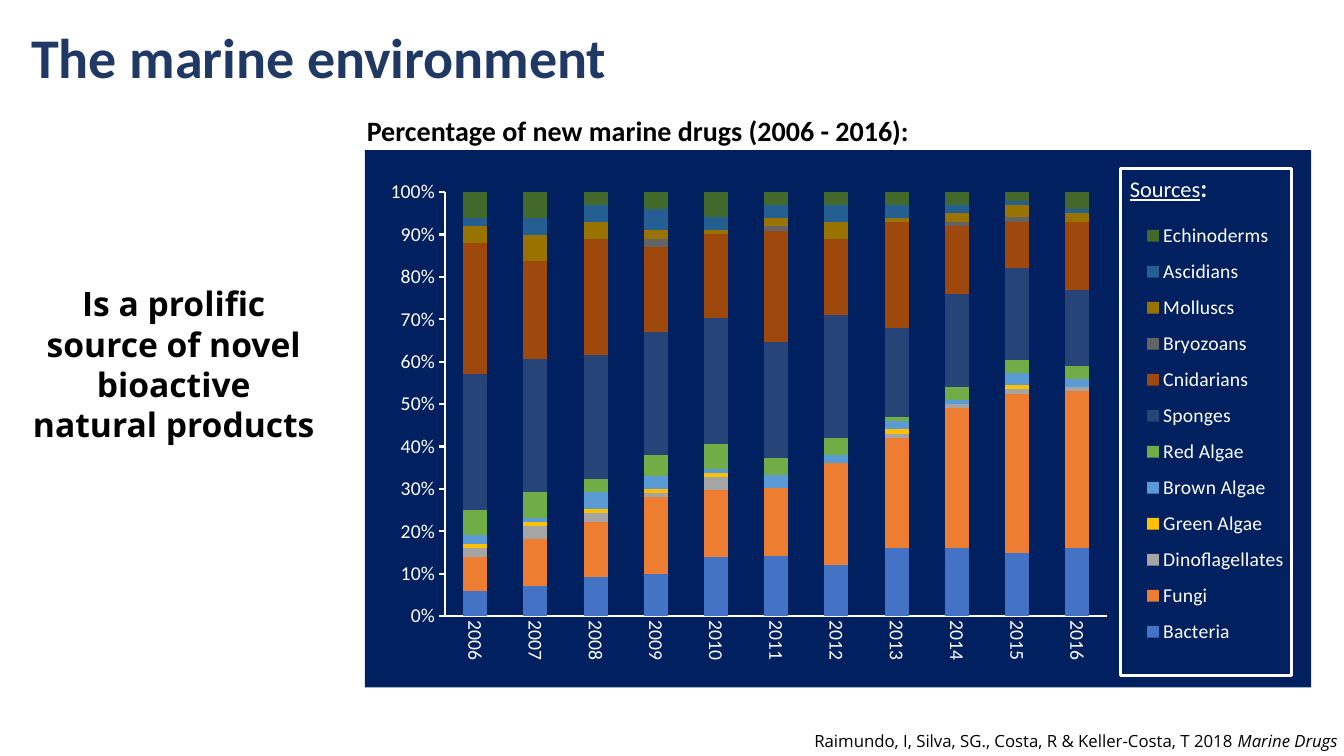
from lxml.etree import SubElement
from pptx import Presentation
from pptx.chart.data import CategoryChartData
from pptx.dml.color import RGBColor
from pptx.enum.chart import XL_CHART_TYPE, XL_LEGEND_POSITION, XL_TICK_MARK
from pptx.enum.shapes import MSO_SHAPE
from pptx.enum.text import MSO_ANCHOR, PP_ALIGN
from pptx.oxml import parse_xml
from pptx.oxml.ns import nsdecls, qn
from pptx.util import Pt

NAVY = RGBColor(0x00, 0x20, 0x60)
TITLE_BLUE = RGBColor(0x20, 0x38, 0x64)
WHITE = RGBColor(0xFF, 0xFF, 0xFF)
BLACK = RGBColor(0x00, 0x00, 0x00)

YEARS = [str(year) for year in range(2006, 2017)]
# Source, colour, yearly percentages
SOURCES = [
    ("Bacteria", RGBColor(0x44, 0x72, 0xC4), (6, 7, 9, 10, 14, 14, 12, 16, 16, 15, 16)),
    ("Fungi", RGBColor(0xED, 0x7D, 0x31), (8, 11, 13, 18, 16, 16, 24, 26, 33, 38, 37)),
    ("Dinoflagellates", RGBColor(0xA5, 0xA5, 0xA5), (2, 3, 2, 1, 3, 0, 0, 1, 1, 1, 1)),
    ("Green Algae", RGBColor(0xFF, 0xC0, 0x00), (1, 1, 1, 1, 1, 0, 0, 1, 0, 1, 0)),
    ("Brown Algae", RGBColor(0x5B, 0x9B, 0xD5), (2, 1, 4, 3, 1, 3, 2, 2, 1, 3, 2)),
    ("Red Algae", RGBColor(0x70, 0xAD, 0x47), (6, 6, 3, 5, 6, 4, 4, 1, 3, 3, 3)),
    ("Sponges", RGBColor(0x26, 0x44, 0x78), (32, 31, 29, 29, 30, 27, 29, 21, 22, 22, 18)),
    ("Cnidarians", RGBColor(0x9E, 0x48, 0x0E), (31, 23, 27, 20, 20, 26, 18, 25, 16, 11, 16)),
    ("Bryozoans", RGBColor(0x63, 0x63, 0x63), (0, 0, 0, 2, 0, 1, 0, 0, 1, 1, 0)),
    ("Molluscs", RGBColor(0x99, 0x73, 0x00), (4, 6, 4, 2, 1, 2, 4, 1, 2, 3, 2)),
    ("Ascidians", RGBColor(0x25, 0x5E, 0x91), (2, 4, 4, 5, 3, 3, 4, 3, 2, 1, 1)),
    ("Echinoderms", RGBColor(0x43, 0x68, 0x2B), (6, 6, 3, 4, 6, 3, 3, 3, 3, 2, 4)),
]


def set_font(font, color, **values):
    for name, value in values.items():
        setattr(font, name, value)
    font.color.rgb = color


def fill_text(box, spans, align=PP_ALIGN.LEFT, wrap=True):
    """Write one paragraph of (text, colour, font values) spans."""
    frame = box.text_frame
    layout = {"word_wrap": wrap, "vertical_anchor": MSO_ANCHOR.TOP,
              "margin_left": Pt(7.2), "margin_right": Pt(7.2),
              "margin_top": Pt(3.6), "margin_bottom": Pt(3.6)}
    for name, value in layout.items():
        setattr(frame, name, value)
    para = frame.paragraphs[0]
    para.alignment = align
    para.line_spacing = 1.0
    para.space_before = Pt(0)
    for text, color, values in spans:
        span = para.add_run()
        span.text = text
        set_font(span.font, color, **values)


def add_text(page, place, spans, **layout):
    box = page.shapes.add_textbox(*map(Pt, place))
    fill_text(box, spans, **layout)


def add_title(page, place, text):
    title = page.shapes.title
    title.left, title.top, title.width, title.height = map(Pt, place)
    fill_text(title, [(text, TITLE_BLUE, {"name": "Calibri", "size": Pt(40), "bold": True})])


def add_panel(page, place, fill=None, line=None):
    panel = page.shapes.add_shape(MSO_SHAPE.RECTANGLE, *map(Pt, place))
    panel.shadow.inherit = False
    if fill is None:
        panel.fill.background()
    else:
        panel.fill.solid()
        panel.fill.fore_color.rgb = fill
    if line is None:
        panel.line.fill.background()
    else:
        panel.line.color.rgb = line
        panel.line.width = Pt(2)


def set_layout(parent, index, x, y, w, h, inner=False):
    """Place the plot area or legend by fractions of the chart."""
    for old in parent.findall(qn("c:layout")):
        parent.remove(old)
    layout = parse_xml(f"<c:layout {nsdecls('c')}><c:manualLayout/></c:layout>")
    settings = [("layoutTarget", "inner")] if inner else []
    settings += [("xMode", "edge"), ("yMode", "edge"), ("x", x), ("y", y), ("w", w), ("h", h)]
    for tag, value in settings:
        SubElement(layout[0], qn(f"c:{tag}")).set("val", str(value))
    parent.insert(index, layout)


def format_axis(axis, tick):
    values = {"major_tick_mark": tick, "minor_tick_mark": XL_TICK_MARK.NONE,
              "has_major_gridlines": False}
    for name, value in values.items():
        setattr(axis, name, value)
    axis.format.line.color.rgb = WHITE
    axis.format.line.width = Pt(1.5)
    set_font(axis.tick_labels.font, WHITE, name="Calibri", size=Pt(14))


def add_sources_chart(page, place):
    data = CategoryChartData(number_format="0")
    data.categories = YEARS
    for name, _, values in SOURCES:
        data.add_series(name, values)
    chart = page.shapes.add_chart(
        XL_CHART_TYPE.COLUMN_STACKED_100, *map(Pt, place), data).chart
    chart.has_title = False
    set_font(chart.font, BLACK, name="Arial", size=Pt(10))

    # Columns
    plot = chart.plots[0]
    for name, value in {"gap_width": 150, "overlap": 100, "vary_by_categories": False}.items():
        setattr(plot, name, value)
    for series, (_, color, _) in zip(plot.series, SOURCES):
        series.format.fill.solid()
        series.format.fill.fore_color.rgb = color
    plot_area = chart.element.find(".//" + qn("c:plotArea"))
    set_layout(plot_area, 0, 0.119, 0.051, 0.665, 0.836, inner=True)

    # Axes
    format_axis(chart.category_axis, XL_TICK_MARK.NONE)
    format_axis(chart.value_axis, XL_TICK_MARK.OUTSIDE)
    chart.value_axis.major_unit = 0.1
    chart.value_axis.tick_labels.number_format = "0%"
    chart.value_axis.tick_labels.number_format_is_linked = False
    label_body = plot_area.find(qn("c:catAx")).find(".//" + qn("a:bodyPr"))
    label_body.set("rot", "5400000")
    label_body.set("vert", "horz")

    # Legend
    chart.has_legend = True
    legend = chart.legend
    legend.position = XL_LEGEND_POSITION.RIGHT
    legend.include_in_layout = False
    set_font(legend.font, WHITE, name="Calibri", size=Pt(14))
    set_layout(chart.element.find(".//" + qn("c:legend")), 1, 0.815, 0.09, 0.155, 0.875)


def main():
    deck = Presentation()
    deck.slide_width, deck.slide_height = Pt(960), Pt(540)
    page = deck.slides.add_slide(deck.slide_layouts[5])

    add_title(page, (15, 12.2, 565, 103), "The marine environment")

    # Chart panel with heading and framed legend
    add_panel(page, (260.6, 107.3, 676, 383.8), fill=NAVY)
    add_text(page, (253.4, 77.8, 404.6, 31.7),
             [("Percentage of new marine drugs (2006 - 2016):", BLACK,
               {"name": "Calibri", "size": Pt(20), "bold": True})],
             align=PP_ALIGN.CENTER, wrap=False)
    add_text(page, (800, 119.5, 84.2, 28.8),
             [("Sources", WHITE, {"name": "Calibri", "size": Pt(16), "underline": True}),
              (":", WHITE, {"name": "Calibri", "size": Pt(18), "bold": True})],
             wrap=False)
    add_sources_chart(page, (233.3, 118.8, 711.4, 362.2))
    add_panel(page, (800.6, 120.2, 121.7, 362.2), line=WHITE)

    # Message and citation
    add_text(page, (15, 198.7, 218.2, 123.8),
             [("Is a prolific source of novel bioactive natural products", BLACK,
               {"name": "Open Sans", "size": Pt(24), "bold": True})],
             align=PP_ALIGN.CENTER)
    citation = {"name": "Open Sans", "size": Pt(12)}
    add_text(page, (437, 518.4, 525.6, 21.6),
             [("Raimundo, I, Silva, SG., Costa, R & Keller-Costa, T 2018 ", BLACK, citation),
              ("Marine Drugs", BLACK, {**citation, "italic": True})],
             align=PP_ALIGN.RIGHT)

    deck.save("out.pptx")


if __name__ == "__main__":
    main()
